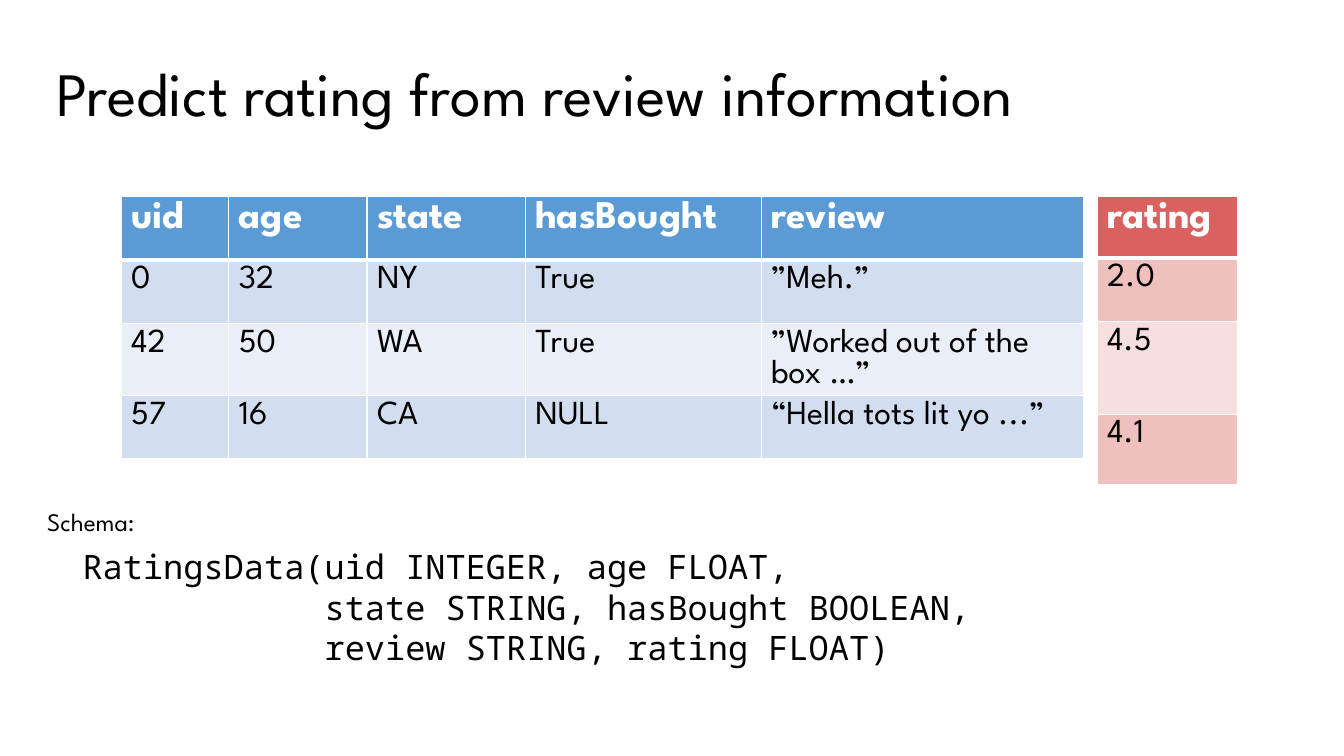
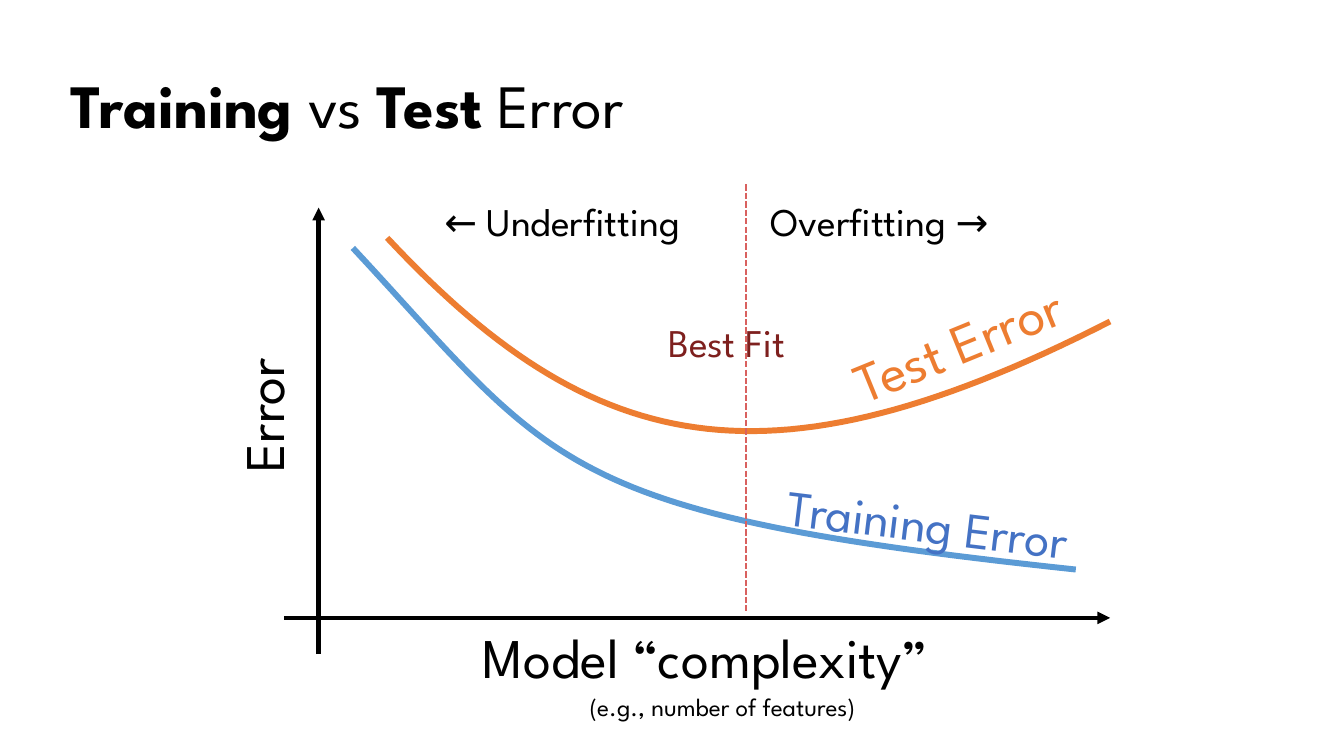
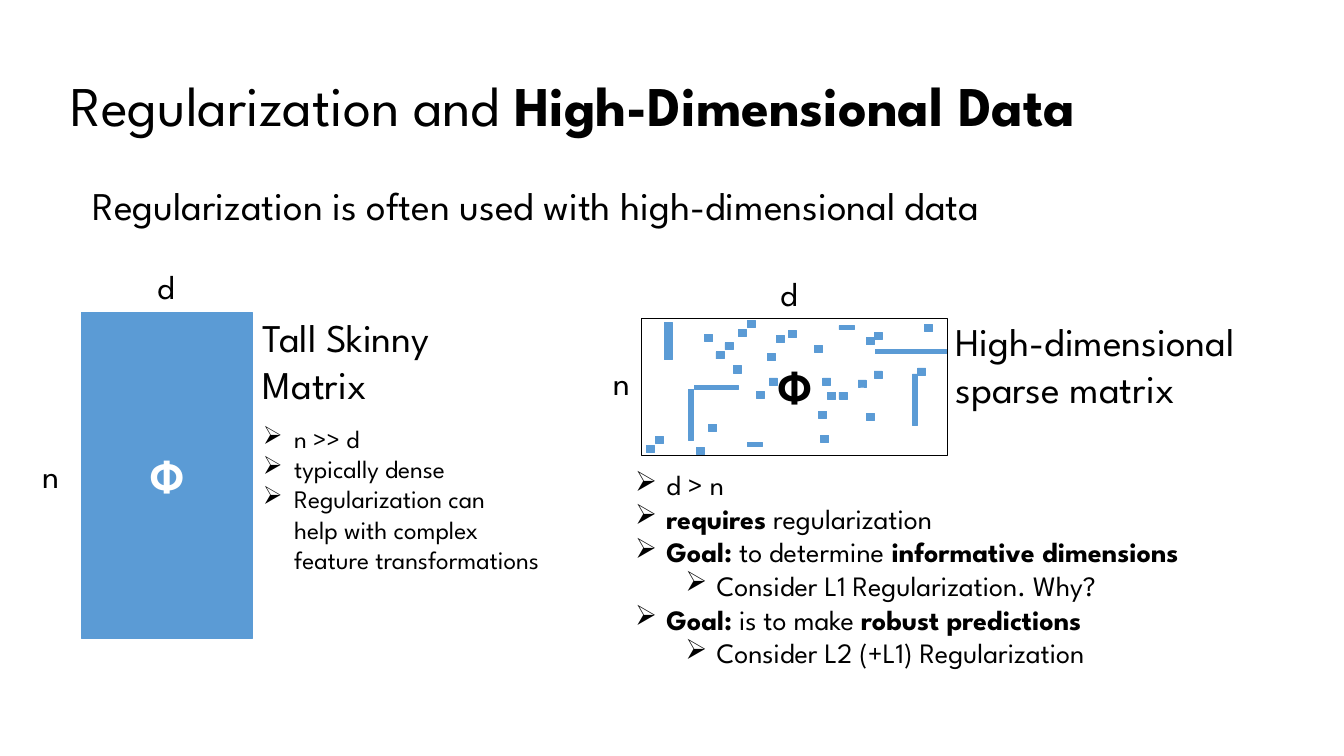
import lxml.etree
import pptx
import pptx.dml.color
import pptx.enum.dml
import pptx.enum.shapes
import pptx.enum.text
import pptx.oxml.ns
import pptx.util

Inches, Pt = pptx.util.Inches, pptx.util.Pt
SHAPE = pptx.enum.shapes.MSO_SHAPE
ALIGN = pptx.enum.text.PP_ALIGN
ANCHOR = pptx.enum.text.MSO_ANCHOR


class Theme:
    font, mono = "League Spartan", "Noto Sans Mono"
    black, white = "000000", "FFFFFF"
    blue, blue_bands = "5B9BD5", ("D2DEEF", "EAEFF7")
    red, red_bands, dark_red = "D9615F", ("F0C0BF", "F7DFDF"), "7E201E"
    orange, label_blue = "ED7D31", "4472C4"
    title, axis, curve, phi, head, cell, item, note = 44, 40, 36, 32, 28, 24, 20, 18
    title_box = (0.6, 0.35, 11.81, 1.45)


# ---- Content: a run is plain text, or (text, True) for bold ----
RATING_TITLE = ["Predict rating from review information"]
REVIEWS = [
    ("uid", "age", "state", "hasBought", "review"),
    ("0", "32", "NY", "True", "”Meh.”"),
    ("42", "50", "WA", "True", "”Worked out of the box …”"),
    ("57", "16", "CA", "NULL", "“Hella tots lit yo ...”"),
]
RATINGS = [("rating",), ("2.0",), ("4.5",), ("4.1",)]
SCHEMA = [
    "RatingsData(uid INTEGER, age FLOAT,",
    "            state STRING, hasBought BOOLEAN,",
    "            review STRING, rating FLOAT)",
]

ERROR_TITLE = [("Training", True), " vs ", ("Test", True), " Error"]
AXES = [((3.16, 6.49), (3.16, 2.06)), ((2.82, 6.13), (11.01, 6.13))]
# Each curve: four Bezier control points and a colour
CURVES = [
    ([(3.5, 2.46), (5.52, 4.63), (5.49, 5.1), (10.67, 5.65)], Theme.blue),
    ([(3.84, 2.36), (5.87, 4.53), (7.6, 4.93), (11.01, 3.19)], Theme.orange),
]
BEST_FIT = ((7.4, 1.83), (7.4, 6.06))
# text, box, size, colour, rotation
CHART_LABELS = [
    ("Model “complexity”", (4.69, 6.13, 5.65, 0.77), Theme.axis, Theme.black, 0),
    ("(e.g., number of features)", (5.75, 6.81, 3.34, 0.4), Theme.note, Theme.black, 0),
    ("Error", (1.91, 3.71, 1.38, 0.77), Theme.axis, Theme.black, 270),
    ("Training Error", (7.7, 4.85, 3.28, 0.71), Theme.curve, Theme.label_blue, 6.9),
    ("Test Error", (8.31, 2.98, 2.54, 0.77), Theme.axis, Theme.orange, 337.8),
    ("Best Fit", (6.53, 3.11, 1.48, 0.57), Theme.head, Theme.dark_red, 0),
    ("Overfitting →", (7.54, 1.91, 2.68, 0.57), Theme.head, Theme.black, 0),
    ("← Underfitting", (4.31, 1.91, 2.99, 0.57), Theme.head, Theme.black, 0),
]

REGULARIZATION_TITLE = ["Regularization and ", ("High-Dimensional Data", True)]
REGULARIZATION_LEAD = ["Regularization is often used with high-dimensional data"]
MATRIX_LABELS = [
    ("Tall Skinny Matrix", (2.51, 3.06, 2.11, 1.04), Theme.head),
    ("n", (0.32, 4.46, 0.41, 0.5), Theme.cell),
    ("d", (1.46, 2.59, 0.43, 0.5), Theme.cell),
    ("High-dimensional sparse matrix", (9.38, 3.1, 3.72, 1.04), Theme.head),
    ("n", (5.98, 3.54, 0.41, 0.5), Theme.cell),
    ("d", (7.64, 2.66, 0.43, 0.5), Theme.cell),
]
# Bullets: (level, runs)
TALL_POINTS = [
    (0, ["n >> d"]),
    (0, ["typically dense"]),
    (0, ["Regularization can\nhelp with complex\nfeature transformations"]),
]
SPARSE_POINTS = [
    (0, ["d > n"]),
    (0, [("requires", True), " regularization"]),
    (0, [("Goal:", True), " to determine", (" informative dimensions", True)]),
    (1, ["Consider L1 Regularization. Why?"]),
    (0, [("Goal:", True), " is to make ", ("robust predictions", True)]),
    (1, ["Consider L2 (+L1) Regularization"]),
]
TALL_MATRIX = (0.81, 3.1, 1.69, 3.23)
SPARSE_MATRIX = (6.36, 3.16, 3.04, 1.36)
# Non-zero entries, in hundredths of an inch from the matrix corner
DOT = (8, 7)
DOTS = [
    (63, 16), (74, 33), (172, 27), (67, 105), (215, 61), (125, 35), (223, 19),
    (83, 24), (127, 59), (134, 17), (180, 59), (223, 94), (231, 52), (231, 14),
    (274, 49), (281, 6), (196, 73), (114, 72), (176, 92), (178, 116), (185, 73),
    (91, 47), (5, 126), (55, 128), (14, 117), (96, 11), (146, 12), (105, 2),
]
BARS = [
    (23, 4, 8, 37), (53, 66, 43, 4), (105, 123, 15, 4), (269, 55, 5, 51),
    (47, 70, 5, 51), (232, 31, 71, 4), (196, 7, 15, 4),
]


# ---- Helpers ----
def rgb(color):
    return pptx.dml.color.RGBColor.from_string(color)


def inches(values):
    return [Inches(v) for v in values]


def add_xml(parent, tag, **attrs):
    el = lxml.etree.SubElement(parent, pptx.oxml.ns.qn(tag))
    for key, value in attrs.items():
        el.set(key, str(value))
    return el


def add_runs(p, runs, size, color=Theme.black, font=Theme.font):
    for run in runs:
        text, bold = (run, False) if isinstance(run, str) else run
        for i, line in enumerate(text.split("\n")):
            if i:
                p.add_line_break()
            r = p.add_run()
            r.text = line
            r.font.name, r.font.size, r.font.bold = font, Pt(size), bold
            r.font.color.rgb = rgb(color)


def set_bullet(p, level):
    p.level = level
    pPr = p._p.get_or_add_pPr()
    pPr.set("marL", str(Inches(0.31 + 0.5 * level)))
    pPr.set("indent", str(Inches(-0.31)))
    add_xml(pPr, "a:buChar", char="➢")


def add_text(s, box, paragraphs, size, color=Theme.black, font=Theme.font, rotation=0):
    """Each paragraph is (level, runs); a level of None means no bullet."""
    sp = s.shapes.add_textbox(*inches(box))
    sp.rotation = rotation
    tf = sp.text_frame
    tf.word_wrap = True
    for i, (level, runs) in enumerate(paragraphs):
        p = tf.add_paragraph() if i else tf.paragraphs[0]
        if level is not None:
            set_bullet(p, level)
        add_runs(p, runs, size, color, font)


def fill_placeholder(sp, box, runs, size, anchor):
    sp.left, sp.top, sp.width, sp.height = inches(box)
    tf = sp.text_frame
    tf.word_wrap = True
    tf.auto_size = pptx.enum.text.MSO_AUTO_SIZE.NONE
    tf.vertical_anchor = anchor
    p = tf.paragraphs[0]
    p.alignment, p.line_spacing, p.space_before = ALIGN.LEFT, 0.9, Pt(0)
    add_runs(p, runs, size)
    return p


def add_slide(prs, layout, title, size=Theme.title, box=Theme.title_box):
    s = prs.slides.add_slide(prs.slide_layouts[layout])
    fill_placeholder(s.shapes.title, box, title, size, ANCHOR.MIDDLE)
    return s


def add_table(s, left, top, cols, heights, rows, head_fill, bands):
    table = s.shapes.add_table(len(rows), len(cols), *inches(
        (left, top, sum(cols), sum(heights)))).table
    table.horz_banding = False
    for column, width in zip(table.columns, cols):
        column.width = Inches(width)
    for i, (row, height) in enumerate(zip(rows, heights)):
        table.rows[i].height = Inches(height)
        for j, text in enumerate(row):
            cell = table.cell(i, j)
            thick = {0: "a:lnB", 1: "a:lnT"}.get(i)
            for side in ("a:lnL", "a:lnR", "a:lnT", "a:lnB"):
                ln = add_xml(cell._tc.get_or_add_tcPr(), side,
                             w=Pt(3 if side == thick else 1))
                add_xml(add_xml(ln, "a:solidFill"), "a:srgbClr", val=Theme.white)
            cell.fill.solid()
            cell.fill.fore_color.rgb = rgb(bands[(i - 1) % 2] if i else head_fill)
            p = cell.text_frame.paragraphs[0]
            if i:
                add_runs(p, [text], Theme.cell)
            else:
                add_runs(p, [(text, True)], Theme.head, Theme.white)


def add_line(s, ends, color, width, dash=None, arrow=False):
    (x1, y1), (x2, y2) = ends
    line = s.shapes.add_connector(pptx.enum.shapes.MSO_CONNECTOR.STRAIGHT,
                                  *inches((x1, y1, x2, y2)))
    line.line.color.rgb, line.line.width = rgb(color), Pt(width)
    if dash:
        line.line.dash_style = dash
    if arrow:
        add_xml(line.line._get_or_add_ln(), "a:tailEnd", type="triangle")
    add_xml(line._element.spPr, "a:effectLst")


def add_curve(s, controls, color, steps=60):
    points = []
    for i in range(steps + 1):
        t = i / steps
        weights = ((1 - t) ** 3, 3 * t * (1 - t) ** 2, 3 * t * t * (1 - t), t ** 3)
        points.append([Inches(sum(w * c[k] for w, c in zip(weights, controls)))
                       for k in (0, 1)])
    builder = s.shapes.build_freeform(*points[0])
    builder.add_line_segments(points[1:], close=False)
    sp = builder.convert_to_shape()
    sp.shadow.inherit = False
    sp.fill.background()
    sp.line.color.rgb, sp.line.width = rgb(color), Pt(4.25)


def add_rect(s, box, fill=Theme.blue, line=Theme.blue, width=0.5):
    sp = s.shapes.add_shape(SHAPE.RECTANGLE, *inches(box))
    sp.shadow.inherit = False
    sp.fill.solid()
    sp.fill.fore_color.rgb = rgb(fill)
    sp.line.color.rgb, sp.line.width = rgb(line), Pt(width)
    return sp


def add_phi(sp, color):
    sp.text_frame.vertical_anchor = ANCHOR.MIDDLE
    p = sp.text_frame.paragraphs[0]
    p.alignment = ALIGN.CENTER
    add_runs(p, ["𝚽"], Theme.phi, color)


# ---- Slides ----
def rating_slide(prs):
    s = add_slide(prs, 5, RATING_TITLE, box=(0.46, 0.23, 11.81, 1.45))
    add_table(s, 1.2, 1.95, (1.07, 1.37, 1.57, 2.34, 3.2), [0.63] * 4,
              REVIEWS, Theme.blue, Theme.blue_bands)
    add_table(s, 10.88, 1.95, (1.39,), (0.61, 0.63, 0.92, 0.7),
              RATINGS, Theme.red, Theme.red_bands)
    add_text(s, (0.37, 4.97, 1.29, 0.4), [(None, ["Schema:"])], Theme.note)
    add_text(s, (0.72, 5.37, 11.58, 1.31), [(None, [line]) for line in SCHEMA],
             Theme.cell, font=Theme.mono)


def error_slide(prs):
    s = add_slide(prs, 5, ERROR_TITLE)
    for ends in AXES:
        add_line(s, ends, Theme.black, 3, arrow=True)
    for controls, color in CURVES:
        add_curve(s, controls, color)
    add_line(s, BEST_FIT, Theme.red, 1.5, dash=pptx.enum.dml.MSO_LINE.SQUARE_DOT)
    for text, box, size, color, rotation in CHART_LABELS:
        add_text(s, box, [(None, [text])], size, color, rotation=rotation)


def regularization_slide(prs):
    s = add_slide(prs, 1, REGULARIZATION_TITLE, Theme.axis)
    p = fill_placeholder(s.placeholders[1], (0.8, 1.8, 12.05, 0.78),
                         REGULARIZATION_LEAD, Theme.head, ANCHOR.TOP)
    pPr = p._p.get_or_add_pPr()
    pPr.set("marL", str(Inches(0.02)))
    pPr.set("indent", "0")
    add_xml(pPr, "a:buNone")

    # Matrices
    add_phi(add_rect(s, TALL_MATRIX), Theme.white)
    add_phi(add_rect(s, SPARSE_MATRIX, Theme.white, Theme.black, 1), Theme.black)
    left, top = SPARSE_MATRIX[:2]
    for x, y, w, h in BARS + [dot + DOT for dot in DOTS]:
        add_rect(s, (left + x / 100, top + y / 100, w / 100, h / 100))

    # Labels and bullets
    for text, box, size in MATRIX_LABELS:
        add_text(s, box, [(None, [text])], size)
    add_text(s, (2.51, 4.15, 3.35, 1.62), TALL_POINTS, Theme.note)
    add_text(s, (6.2, 4.59, 6.48, 2.12), SPARSE_POINTS, Theme.item)


def main():
    prs = pptx.Presentation()
    prs.slide_width, prs.slide_height = inches((13.33, 7.5))
    for build in (rating_slide, error_slide, regularization_slide):
        build(prs)
    prs.save("out.pptx")


if __name__ == "__main__":
    main()
